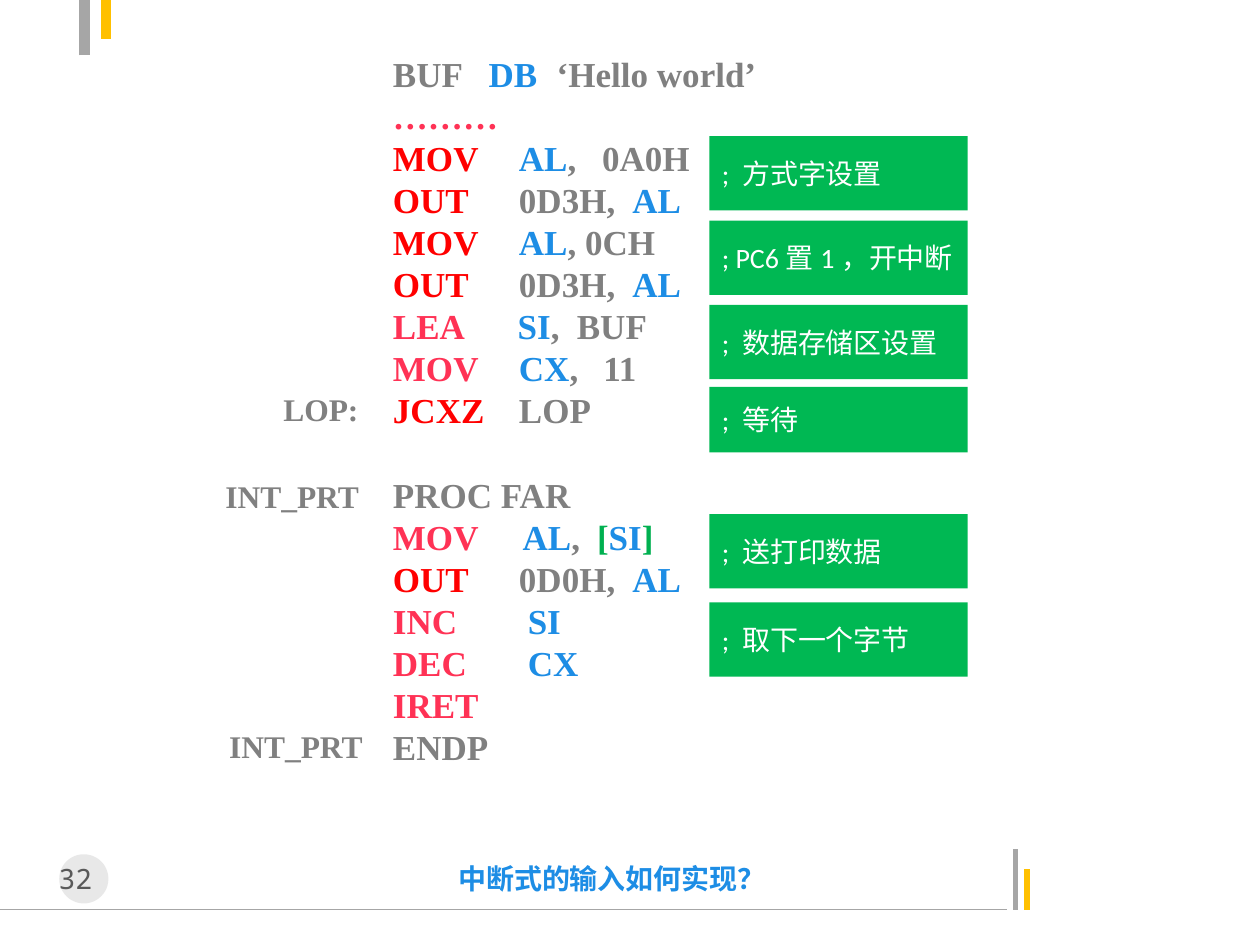
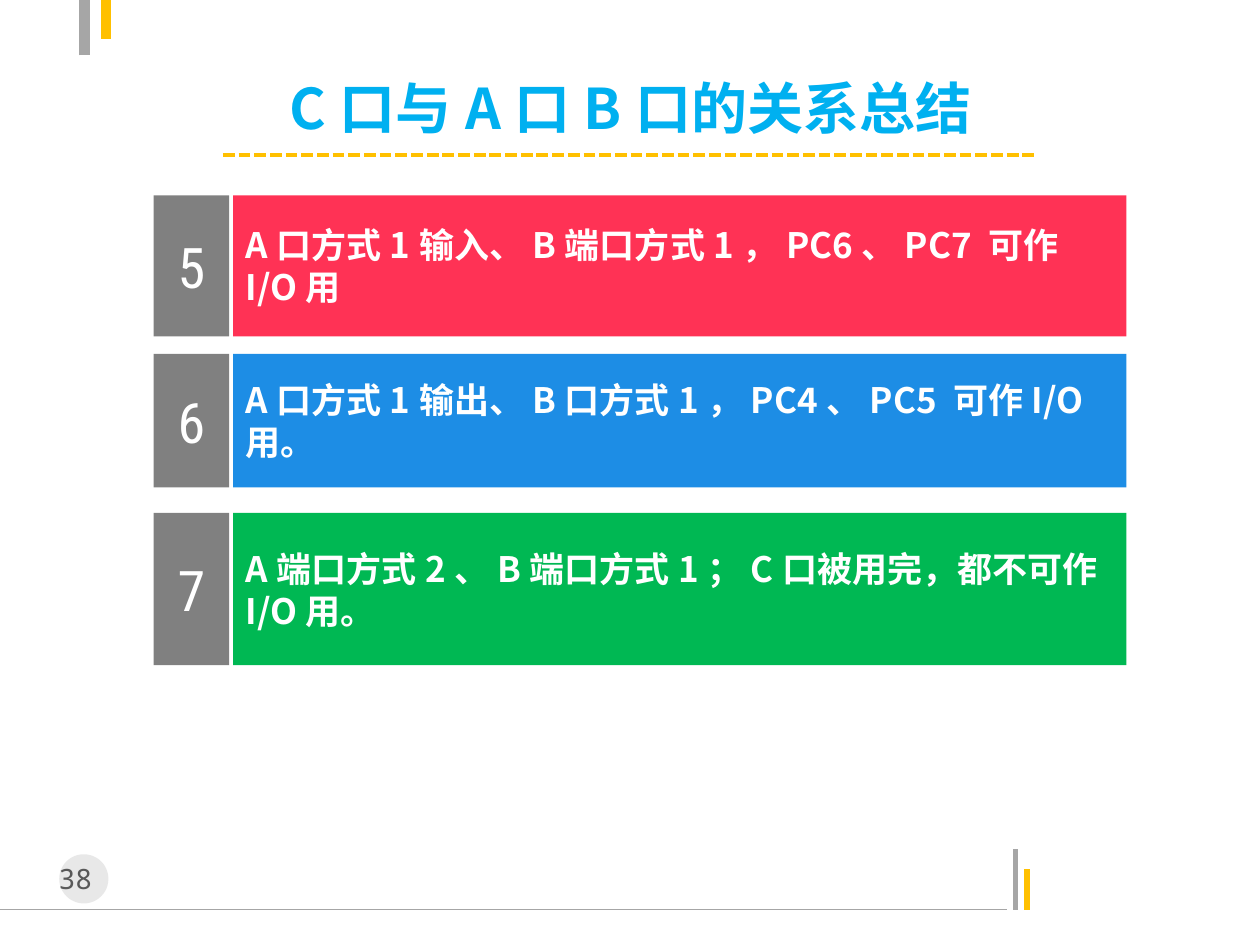
"""Build two slides on interrupt-driven printing and port C usage."""
from dataclasses import dataclass

from lxml import etree
from pptx import Presentation
from pptx.dml.color import RGBColor
from pptx.enum.dml import MSO_LINE
from pptx.enum.shapes import MSO_CONNECTOR, MSO_SHAPE
from pptx.enum.text import MSO_ANCHOR, PP_ALIGN
from pptx.oxml.ns import qn
from pptx.util import Inches, Pt

STRAIGHT = MSO_CONNECTOR.STRAIGHT
RECTANGLE, OVAL = MSO_SHAPE.RECTANGLE, MSO_SHAPE.OVAL
LEFT, CENTER, JUSTIFY = PP_ALIGN.LEFT, PP_ALIGN.CENTER, PP_ALIGN.JUSTIFY
TOP, MIDDLE = MSO_ANCHOR.TOP, MSO_ANCHOR.MIDDLE
SQUARE_DOT = MSO_LINE.SQUARE_DOT

COLOURS = {
    "rule": "A6A6A6",
    "amber": "FFC000",
    "disc": "BFBFBF",
    "number": "595959",
    "grey": "808080",
    "blue": "1D8DE5",
    "rose": "FF3255",
    "red": "FF0000",
    "bracket": "00B050",
    "green": "00B853",
    "title": "00B0F0",
    "white": "FFFFFF",
}
SERIF, SANS, HAN = "Times New Roman", "Calibri", "Noto Sans CJK SC"
MONO, CONDENSED = "Noto Sans Mono", "Roboto Condensed"
CODE_LINE_HEIGHT = Pt(24)
OPERAND_STOP = 1.0


@dataclass(frozen=True)
class Box:
    left: float
    top: float
    width: float
    height: float


@dataclass(frozen=True)
class Style:
    font: str
    size: int
    colour: str
    bold: bool = False
    alignment: PP_ALIGN = LEFT
    anchor: MSO_ANCHOR = TOP


@dataclass(frozen=True)
class Rule:
    start: tuple[float, float]
    end: tuple[float, float]
    colour: str
    width: float
    dash: MSO_LINE | None = None


@dataclass(frozen=True)
class CodeLine:
    pieces: tuple[tuple[str, str], ...]
    stops: tuple[float, ...] = (OPERAND_STOP,)
    gap_before: bool = False


@dataclass(frozen=True)
class Remark:
    text: str
    top: float
    height: float = 0.59


@dataclass(frozen=True)
class Conclusion:
    number: str
    text: str
    colour: str
    height: float


NUMBER_STYLE = Style(MONO, 16, "number", alignment=CENTER)
CODE_STYLE = Style(SERIF, 20, "grey", True, JUSTIFY)
LABEL_STYLE = Style(SERIF, 18, "grey", True, JUSTIFY)
REMARK_STYLE = Style(SANS, 16, "white", anchor=MIDDLE)
QUESTION_STYLE = Style(HAN, 16, "blue", True)
TITLE_STYLE = Style(HAN, 32, "title", True, CENTER, MIDDLE)
CONCLUSION_STYLE = Style(HAN, 20, "white", True, anchor=MIDDLE)
INDEX_STYLE = Style(CONDENSED, 32, "white", alignment=CENTER, anchor=MIDDLE)

FRAME_RULES = (
    Rule((0, 7.22), (7.99, 7.22), "rule", 0.75),
    Rule((8.06, 7.22), (8.06, 6.74), "rule", 3),
    Rule((8.15, 7.22), (8.15, 6.9), "amber", 3),
    Rule((0.67, 0.44), (0.67, 0), "rule", 6),
    Rule((0.84, 0), (0.84, 0.31), "amber", 6),
)
TITLE_RULE = Rule((1.77, 1.23), (8.23, 1.23), "amber", 2.25, SQUARE_DOT)

OUT_LINE = CodeLine(
    (("OUT\t", "red"), ("0D3H,\t", "grey"), ("AL", "blue")), (OPERAND_STOP, 1.9)
)
CODE = (
    CodeLine((("BUF\t", "grey"), ("DB\t", "blue"), ("‘Hello world’", "grey")), (0.76, 1.3)),
    CodeLine((("………", "rose"),)),
    CodeLine((("MOV\t", "red"), ("AL", "blue"), (",\t0A0H", "grey")), (OPERAND_STOP, 1.66)),
    OUT_LINE,
    CodeLine((("MOV\t", "red"), ("AL", "blue"), (", 0CH", "grey"))),
    OUT_LINE,
    CodeLine((("LEA\t", "rose"), ("SI", "blue"), (",\tBUF", "grey")), (0.99, 1.46)),
    CodeLine((("MOV\t", "rose"), ("CX", "blue"), (",\t11", "grey")), (OPERAND_STOP, 1.67)),
    CodeLine((("JCXZ\t", "red"), ("LOP", "grey"))),
    CodeLine((("PROC FAR", "grey"),), gap_before=True),
    CodeLine(
        (("MOV\t", "rose"), ("AL", "blue"), (",\t", "grey"),
         ("[", "bracket"), ("SI", "blue"), ("]", "bracket")),
        (1.03, 1.62),
    ),
    CodeLine((("OUT\t", "red"), ("0D0H,\t", "grey"), ("AL", "blue")), (OPERAND_STOP, 1.9)),
    CodeLine((("INC\t", "rose"), ("SI", "blue")), (1.07,)),
    CodeLine((("DEC\t", "rose"), ("CX", "blue")), (1.07,)),
    CodeLine((("IRET", "rose"),)),
    CodeLine((("ENDP", "grey"),)),
)
CODE_LABELS = (
    ("LOP:", Box(2.15, 3.05, 0.81, 0.4)),
    ("INT_PRT", Box(1.69, 3.74, 1.27, 0.4)),
    ("INT_PRT", Box(1.72, 5.72, 1.27, 0.4)),
)
REMARKS = (
    Remark("; 方式字设置", 1.08),
    Remark("; PC6置1，开中断", 1.75),
    Remark("; 数据存储区设置", 2.42),
    Remark("; 等待", 3.07, 0.52),
    Remark("; 送打印数据", 4.08),
    Remark("; 取下一个字节", 4.78),
)
CONCLUSIONS = (
    Conclusion("5", "A口方式1输入、B端口方式1，PC6、PC7 可作I/O用", "rose", 1.12),
    Conclusion("6", "A口方式1输出、B口方式1，PC4、PC5 可作I/O用。", "blue", 1.06),
    Conclusion("7", "A端口方式2、B端口方式1；C口被用完，都不可作I/O用。", "green", 1.21),
)
CONCLUSION_TOP, CONCLUSION_PITCH = 1.55, 1.26


def rgb(name: str) -> RGBColor:
    return RGBColor.from_string(COLOURS[name])


def inches(box: Box) -> tuple:
    return Inches(box.left), Inches(box.top), Inches(box.width), Inches(box.height)


def format_run(run, style: Style, colour: str) -> None:
    run.font.size = Pt(style.size)
    run.font.bold = style.bold
    run.font.color.rgb = rgb(colour)
    run.font.name = style.font
    east_asian = etree.SubElement(run.font._element, qn("a:ea"))
    east_asian.set("typeface", HAN if style.font == SANS else style.font)


def write_text(shape, text: str, style: Style, wrap: bool = True) -> None:
    text_frame = shape.text_frame
    text_frame.text = text
    text_frame.word_wrap = wrap
    text_frame.vertical_anchor = style.anchor
    paragraph = text_frame.paragraphs[0]
    paragraph.alignment = style.alignment
    format_run(paragraph.runs[0], style, style.colour)


def add_text(slide, box: Box, text: str, style: Style, wrap: bool = True) -> None:
    write_text(slide.shapes.add_textbox(*inches(box)), text, style, wrap)


def add_filled(slide, kind: MSO_SHAPE, box: Box, colour: str):
    shape = slide.shapes.add_shape(kind, *inches(box))
    shape.shadow.inherit = False
    shape.fill.solid()
    shape.fill.fore_color.rgb = rgb(colour)
    shape.line.fill.background()
    return shape


def add_panel(slide, box: Box, colour: str, text: str, style: Style) -> None:
    write_text(add_filled(slide, RECTANGLE, box, colour), text, style)


def add_rule(slide, rule: Rule) -> None:
    ends = [Inches(value) for value in (*rule.start, *rule.end)]
    connector = slide.shapes.add_connector(STRAIGHT, *ends)
    connector.line.color.rgb = rgb(rule.colour)
    connector.line.width = Pt(rule.width)
    if rule.dash is not None:
        connector.line.dash_style = rule.dash
    etree.SubElement(connector._element.spPr, qn("a:effectLst"))


def add_frame(slide, number: str) -> None:
    for rule in FRAME_RULES:
        add_rule(slide, rule)
    disc = add_filled(slide, OVAL, Box(0.47, 6.78, 0.39, 0.39), "disc")
    disc_colour = disc._element.spPr.find(f".//{qn('a:srgbClr')}")
    etree.SubElement(disc_colour, qn("a:alpha")).set("val", "35000")
    add_text(slide, Box(0.31, 6.79, 0.71, 0.37), f"{number} ", NUMBER_STYLE)


def add_code(slide, box: Box, lines: tuple[CodeLine, ...]) -> None:
    text_frame = slide.shapes.add_textbox(*inches(box)).text_frame
    text_frame.word_wrap = True
    for index, line in enumerate(lines):
        paragraph = text_frame.add_paragraph() if index else text_frame.paragraphs[0]
        paragraph.alignment = CODE_STYLE.alignment
        paragraph.line_spacing = CODE_LINE_HEIGHT
        if line.gap_before:
            paragraph.space_before = CODE_LINE_HEIGHT
        tabs = etree.SubElement(paragraph._p.get_or_add_pPr(), qn("a:tabLst"))
        for stop in line.stops:
            etree.SubElement(tabs, qn("a:tab"), pos=str(Inches(stop)), algn="l")
        for text, colour in line.pieces:
            run = paragraph.add_run()
            run.text = text
            format_run(run, CODE_STYLE, colour)


def build_code_slide(slide) -> None:
    add_frame(slide, "32")
    add_code(slide, Box(3.02, 0.37, 4.11, 5.82), CODE)
    for text, box in CODE_LABELS:
        add_text(slide, box, text, LABEL_STYLE, wrap=False)
    for remark in REMARKS:
        box = Box(5.63, remark.top, 2.05, remark.height)
        add_panel(slide, box, "green", remark.text, REMARK_STYLE)
    add_text(slide, Box(3.54, 6.79, 2.87, 0.37), "中断式的输入如何实现？", QUESTION_STYLE)


def build_summary_slide(slide) -> None:
    add_frame(slide, "38")
    add_text(slide, Box(1.38, 0.6, 7.25, 0.5), "C口与A口B口的关系总结", TITLE_STYLE, wrap=False)
    add_rule(slide, TITLE_RULE)
    for index, row in enumerate(CONCLUSIONS):
        top = CONCLUSION_TOP + index * CONCLUSION_PITCH
        add_panel(slide, Box(1.85, top, 7.09, row.height), row.colour, row.text, CONCLUSION_STYLE)
        add_panel(slide, Box(1.22, top, 0.6, row.height), "grey", row.number, INDEX_STYLE)


def main() -> None:
    presentation = Presentation()
    presentation.slide_width = Inches(10)
    presentation.slide_height = Inches(7.5)
    blank = presentation.slide_layouts[6]
    for build in (build_code_slide, build_summary_slide):
        build(presentation.slides.add_slide(blank))
    presentation.save("out.pptx")


if __name__ == "__main__":
    main()
